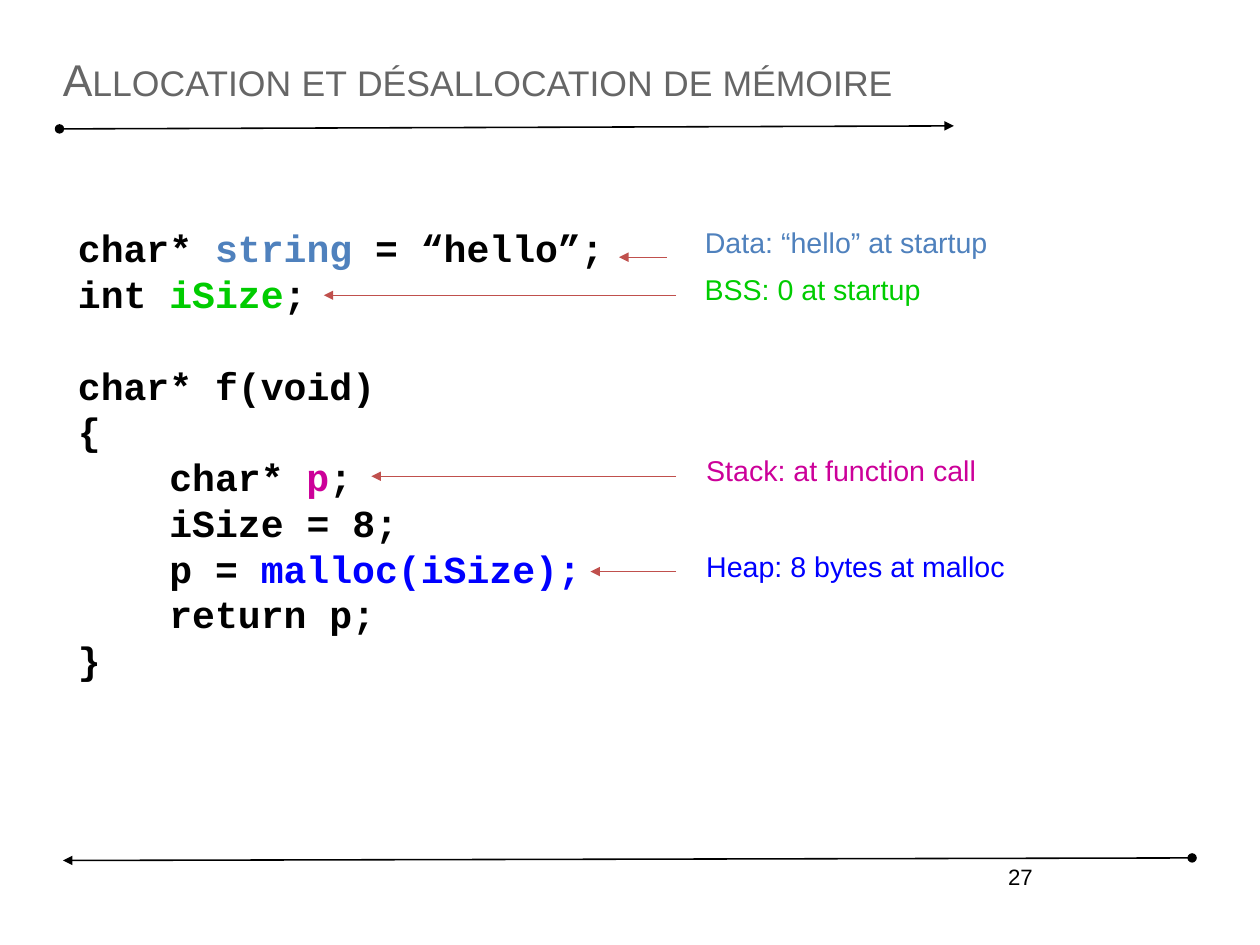
from lxml.etree import SubElement
from pptx import Presentation
from pptx.dml.color import RGBColor
from pptx.enum.shapes import MSO_CONNECTOR
from pptx.enum.text import MSO_ANCHOR, PP_ALIGN
from pptx.oxml.ns import qn
from pptx.util import Pt

BLACK = RGBColor(0x00, 0x00, 0x00)
GREY = RGBColor(0x66, 0x66, 0x66)
RED = RGBColor(0xC0, 0x50, 0x4D)
STEEL = RGBColor(0x4F, 0x81, 0xBD)
GREEN = RGBColor(0x00, 0xCC, 0x00)
PINK = RGBColor(0xCC, 0x00, 0x99)
BLUE = RGBColor(0x00, 0x00, 0xFF)

TAB = 57.6   # four characters of 24 pt code
SKIP = 28.9  # one empty line of code

deck = Presentation()
deck.slide_width, deck.slide_height = Pt(793.75), Pt(595.25)
slide = deck.slides.add_slide(deck.slide_layouts[6])


def add_text(box, lines, size=18, font="Arial", bold=False, caps=False,
             align=PP_ALIGN.LEFT, anchor=MSO_ANCHOR.TOP, wrap=True,
             pad=(7.2, 3.6)):
    """Add a text box; each line is (indent, space above, [(text, colour)])."""
    frame = slide.shapes.add_textbox(*map(Pt, box)).text_frame
    frame.word_wrap = wrap
    frame.vertical_anchor = anchor
    frame.margin_left = frame.margin_right = Pt(pad[0])
    frame.margin_top = frame.margin_bottom = Pt(pad[1])
    for i, (indent, above, parts) in enumerate(lines):
        para = frame.add_paragraph() if i else frame.paragraphs[0]
        para.alignment = align
        para.space_before = Pt(above)
        if indent:
            para._p.get_or_add_pPr().set("marL", str(Pt(indent)))
        for words, color in parts:
            run = para.add_run()
            run.text = words
            run.font.name, run.font.size = font, Pt(size)
            run.font.bold = bold
            run.font.color.rgb = color
            if caps:
                run.font._element.set("cap", "small")


def add_arrow(start, end, color, width, dot=False):
    """Draw a line with a triangle at its end and, if asked, a dot at its start."""
    arrow = slide.shapes.add_connector(
        MSO_CONNECTOR.STRAIGHT, *map(Pt, (*start, *end)))
    arrow.line.color.rgb = color
    arrow.line.width = Pt(width)
    edge = arrow.line._get_or_add_ln()
    if dot:
        SubElement(edge, qn("a:headEnd"), type="oval")
    SubElement(edge, qn("a:tailEnd"), type="triangle")
    SubElement(arrow._element.spPr, qn("a:effectLst"))


# Frame of the page
add_arrow((37.5, 81.2), (600.9, 79.3), BLACK, 1, dot=True)
add_arrow((751, 540.4), (39.7, 542), BLACK, 1, dot=True)
add_text((472.8, 540.5, 185, 41), [(0, 0, [("27", BLACK)])],
         size=14, align=PP_ALIGN.RIGHT)
add_text((39.6, 23.8, 714.2, 51.8),
         [(0, 0, [("Allocation et désallocation de mémoire", GREY)])],
         size=28, caps=True, anchor=MSO_ANCHOR.MIDDLE, pad=(0, 0))

# Code
code = [
    (0, 0, [("char* ", BLACK), ("string", STEEL), (" = “hello”;", BLACK)]),
    (0, 0, [("int ", BLACK), ("iSize", GREEN), (";", BLACK)]),
    (0, SKIP, [("char* f(void)", BLACK)]),
    (0, 0, [("{", BLACK)]),
    (TAB, 0, [("char* ", BLACK), ("p", PINK), (";", BLACK)]),
    (TAB, 0, [("iSize = 8;", BLACK)]),
    (TAB, 0, [("p = ", BLACK), ("malloc(iSize);", BLUE)]),
    (TAB, 0, [("return p;", BLACK)]),
    (0, 0, [("}", BLACK)]),
]
add_text((42, 138, 360, 294), code, size=24, font="Courier New", bold=True)

# Notes beside the code: words, colour, left, top, width, arrow from, to, height
notes = [
    ("Data: “hello” at startup", STEEL, 437, 138, 236, 420, 390, 162),
    ("BSS: 0 at startup", GREEN, 436.8, 167.8, 176, 426, 204, 186),
    ("Stack: at function call", PINK, 437.8, 281.9, 224, 426, 234, 300),
    ("Heap: 8 bytes at malloc", BLUE, 437.8, 342, 240, 426, 372, 360),
]
for words, color, left, top, width, near, far, level in notes:
    add_text((left, top, width, 36), [(0, 0, [(words, color)])], wrap=False)
    add_arrow((near, level), (far, level), RED, 0.75)

deck.save("out.pptx")
